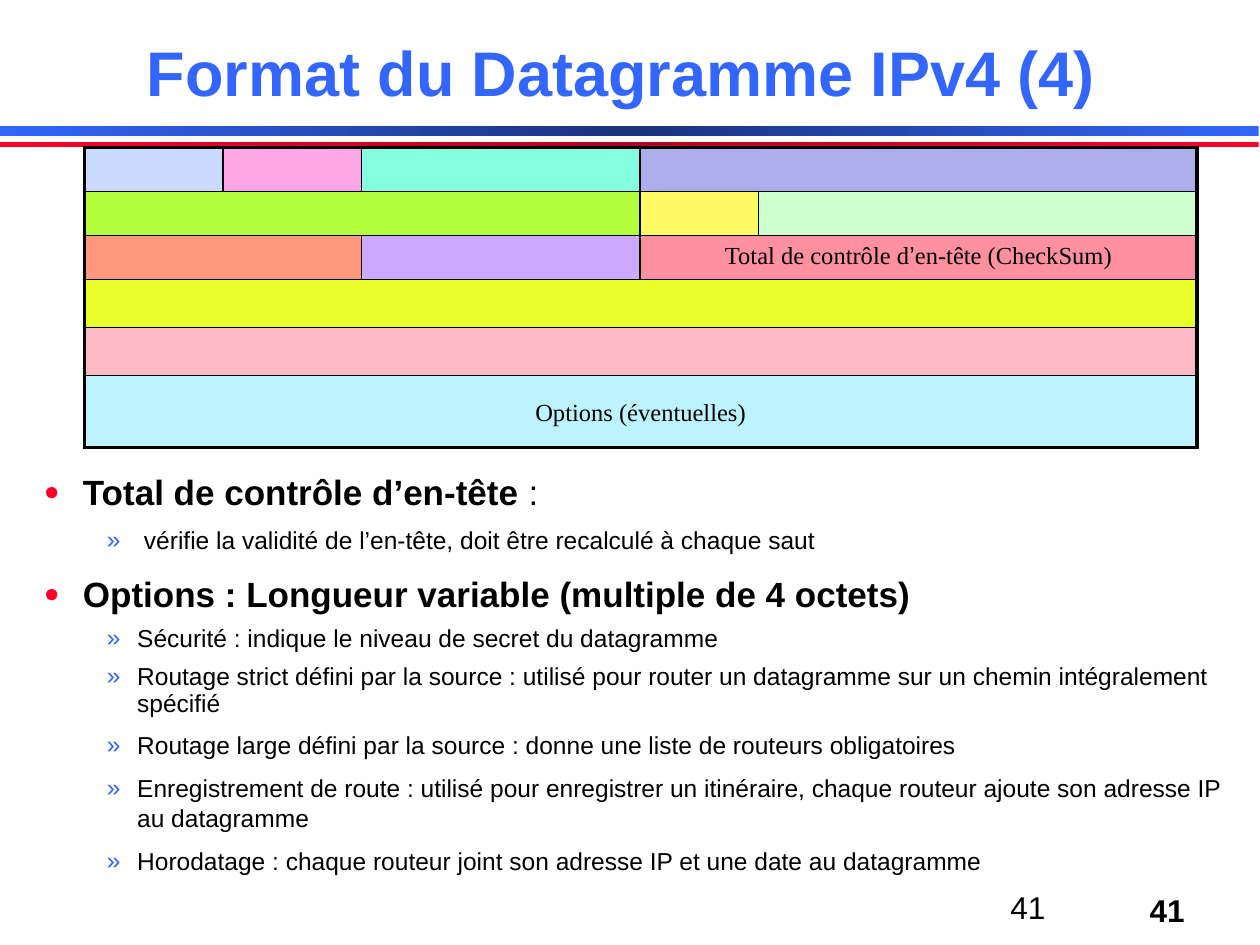
from copy import deepcopy
from dataclasses import dataclass

from lxml import etree
from pptx import Presentation
from pptx import util as u
from pptx.dml.color import RGBColor
from pptx.enum import shapes, text
from pptx.oxml.ns import qn

BLACK = RGBColor(0x00, 0x00, 0x00)
TITLE_BLUE = RGBColor(0x33, 0x66, 0xFF)
BLUE = RGBColor(0x33, 0x65, 0xFB)
NAVY = RGBColor(0x19, 0x32, 0x7C)
RED = RGBColor(0xFC, 0x01, 0x28)
DARK_RED = RGBColor(0xAF, 0x00, 0x1B)
SANS, SERIF = "Arial", "Times New Roman"
CENTER, RIGHT = text.PP_ALIGN.CENTER, text.PP_ALIGN.RIGHT


@dataclass(frozen=True)
class Run:
    words: str
    bold: bool = False
    font: str = SANS


@dataclass(frozen=True)
class Bar:
    top: float
    height: float
    edge: RGBColor
    middle: RGBColor


@dataclass(frozen=True)
class Field:
    row: int
    column: int
    span: int
    color: str
    runs: tuple[Run, ...] = ()


@dataclass(frozen=True)
class Level:
    size: int
    indent: float
    hanging: float
    before: float
    bullet: str
    color: RGBColor
    percent: int


@dataclass(frozen=True)
class Item:
    level: Level
    runs: tuple[Run, ...]
    spacing: float = 1.04


POINT = Level(20, 0.31, 0.31, 9, "●", RED, 75)
DETAIL = Level(14, 0.74, 0.24, 6.8, "»", BLUE, 100)

BARS = [Bar(1, 0.08, BLUE, NAVY), Bar(1.13, 0.04, RED, DARK_RED)]

COLUMNS = [1.1, 1.1, 2.21, 0.94, 3.48]
ROWS = [0.35, 0.35, 0.35, 0.38, 0.38, 0.57]
FIELDS = [
    Field(0, 0, 1, "CADBFF"), Field(0, 1, 1, "FFA6E5"),
    Field(0, 2, 1, "85FFE0"), Field(0, 3, 2, "ADADEB"),
    Field(1, 0, 3, "B4FF3D"), Field(1, 3, 1, "FFFB63"), Field(1, 4, 1, "CCFFCC"),
    Field(2, 0, 2, "FF997E"), Field(2, 2, 1, "CBAAFF"),
    Field(2, 3, 2, "FF909F", (Run("Total de contrôle d", font=SERIF), Run("’"),
                              Run("en-tête (CheckSum)", font=SERIF))),
    Field(3, 0, 5, "E8FF2A"),
    Field(4, 0, 5, "FFB9C5"),
    Field(5, 0, 5, "BCF3FF", (Run("Options (éventuelles)", font=SERIF),)),
]

ITEMS = [
    Item(POINT, (Run("Total de contrôle d’en-tête ", True), Run(":"))),
    Item(DETAIL, (Run(" vérifie la validité de l’en-tête, doit être recalculé à chaque saut"),)),
    Item(POINT, (Run("Options : Longueur variable (multiple de 4 octets)", True),)),
    Item(DETAIL, (Run("Sécurité : indique le niveau de secret du datagramme"),), 0.9),
    Item(DETAIL, (Run("Routage strict défini par la source : utilisé pour router un datagramme "
                      "sur un chemin intégralement spécifié"),), 0.9),
    Item(DETAIL, (Run("Routage large défini par la source : donne une liste de routeurs "
                      "obligatoires"),)),
    Item(DETAIL, (Run("Enregistrement de route : utilisé pour enregistrer un itinéraire, "
                      "chaque routeur ajoute son adresse IP au datagramme"),)),
    Item(DETAIL, (Run("Horodatage : chaque routeur joint son adresse IP et une date au "
                      "datagramme"),)),
]


def write(paragraph, runs, *, size: float, color=BLACK, align=None, spacing=None, before=None):
    """Put formatted runs into a paragraph."""
    paragraph.alignment = align
    paragraph.line_spacing = spacing
    paragraph.space_before = None if before is None else u.Pt(before)
    for part in runs:
        run = paragraph.add_run()
        run.text = part.words
        run.font.size = u.Pt(size)
        run.font.name = part.font
        run.font.bold = part.bold
        run.font.color.rgb = color


def add_text_frame(slide, left: float, top: float, width: float, height: float):
    box = slide.shapes.add_textbox(*map(u.Inches, (left, top, width, height)))
    box.text_frame.word_wrap = True
    return box.text_frame


def add_bar(slide, bar: Bar) -> None:
    shape = slide.shapes.add_shape(shapes.MSO_SHAPE.RECTANGLE, 0, u.Inches(bar.top),
                                   u.Inches(9.99), u.Inches(bar.height))
    shape.shadow.inherit = False
    shape.line.fill.background()
    shape.fill.gradient()
    shape.fill.gradient_angle = 0
    # A third stop gives the darker middle
    stops = shape._element.spPr.find(".//" + qn("a:gsLst"))
    stops.insert(1, deepcopy(stops[0]))
    for stop, position, color in zip(shape.fill.gradient_stops, (0, 0.5, 1),
                                     (bar.edge, bar.middle, bar.edge)):
        stop.position = position
        stop.color.rgb = color


def add_borders(cell, widths: dict[str, float]) -> None:
    properties = cell._tc.get_or_add_tcPr()
    for side, width in widths.items():
        line = etree.SubElement(properties, qn("a:ln" + side), w=str(u.Pt(width)))
        fill = etree.SubElement(line, qn("a:solidFill"))
        etree.SubElement(fill, qn("a:srgbClr"), val=str(BLACK))


def add_field(table, field: Field) -> None:
    cell = table.cell(field.row, field.column)
    end = field.column + field.span
    if field.span > 1:
        cell.merge(table.cell(field.row, end - 1))
    # Thick outline, thin inner lines
    outer = {"L": field.column == 0, "R": end == len(COLUMNS),
             "T": field.row == 0, "B": field.row == len(ROWS) - 1}
    add_borders(cell, {side: 2.25 if edge else 1 for side, edge in outer.items()})
    cell.fill.solid()
    cell.fill.fore_color.rgb = RGBColor.from_string(field.color)
    cell.margin_bottom = u.Inches(0.02)
    if outer["B"]:
        cell.vertical_anchor = text.MSO_ANCHOR.MIDDLE
    paragraph = cell.text_frame.paragraphs[0]
    if field.runs:
        write(paragraph, field.runs, size=14, align=CENTER, before=2.8)
    else:
        etree.SubElement(paragraph._p, qn("a:endParaRPr"), sz="1400")


def add_header_table(slide) -> None:
    frame = slide.shapes.add_table(len(ROWS), len(COLUMNS), u.Inches(0.67), u.Inches(1.17),
                                   u.Inches(sum(COLUMNS)), u.Inches(sum(ROWS)))
    table = frame.table
    table.first_row = table.horz_banding = False
    for column, width in zip(table.columns, COLUMNS):
        column.width = u.Inches(width)
    for row, height in zip(table.rows, ROWS):
        row.height = u.Inches(height)
    for field in FIELDS:
        add_field(table, field)


def add_item(paragraph, item: Item) -> None:
    level = item.level
    write(paragraph, item.runs, size=level.size, spacing=item.spacing, before=level.before)
    paragraph.level = int(level is DETAIL)
    properties = paragraph._p.get_or_add_pPr()
    properties.set("marL", str(u.Inches(level.indent)))
    properties.set("indent", str(-u.Inches(level.hanging)))
    color = etree.SubElement(properties, qn("a:buClr"))
    etree.SubElement(color, qn("a:srgbClr"), val=str(level.color))
    etree.SubElement(properties, qn("a:buSzPct"), val=str(level.percent * 1000))
    etree.SubElement(properties, qn("a:buFont"), typeface=SANS)
    etree.SubElement(properties, qn("a:buChar"), char=level.bullet)


def main() -> None:
    presentation = Presentation()
    presentation.slide_width, presentation.slide_height = u.Inches(10), u.Inches(7.5)
    slide = presentation.slides.add_slide(presentation.slide_layouts[6])

    # Rules under the title
    for bar in BARS:
        add_bar(slide, bar)

    # Page numbers
    number = add_text_frame(slide, 8.09, 7.02, 1.41, 0.4)
    write(number.paragraphs[0], [Run("41", True)], size=18, align=RIGHT)
    number = add_text_frame(slide, 7.92, 7, 2.08, 0.5)
    write(number.paragraphs[0], [Run("41")], size=18)

    # Title
    title = add_text_frame(slide, 0.75, 0.25, 8.5, 0.67)
    title.vertical_anchor = text.MSO_ANCHOR.BOTTOM
    write(title.paragraphs[0], [Run("Format du Datagramme IPv4 (4) ", True)],
          size=36, color=TITLE_BLUE, align=CENTER, spacing=0.9)

    # Explanations
    body = add_text_frame(slide, 0.25, 3.67, 9.58, 3.33)
    for index, item in enumerate(ITEMS):
        add_item(body.add_paragraph() if index else body.paragraphs[0], item)

    # Datagram header
    add_header_table(slide)
    presentation.save("out.pptx")


if __name__ == "__main__":
    main()
